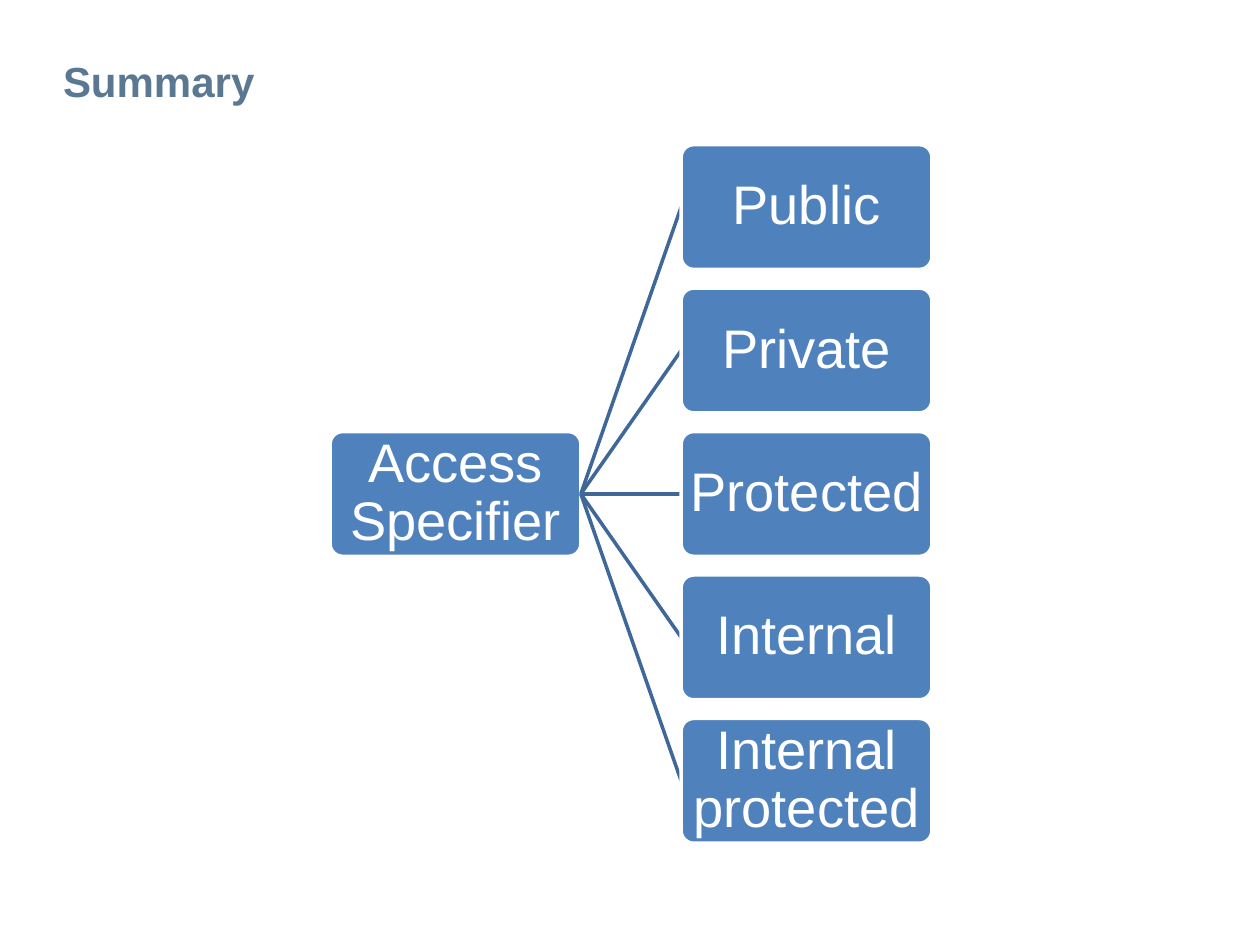
import dataclasses

import pptx
import pptx.dml.color
import pptx.enum.shapes
import pptx.enum.text
import pptx.oxml
import pptx.oxml.ns
import pptx.util

Inches = pptx.util.Inches
Anchor = pptx.enum.text.MSO_ANCHOR
Align = pptx.enum.text.PP_ALIGN

BOX_WIDTH, BOX_HEIGHT = 1.99, 0.99
COLUMN_STEP = BOX_WIDTH * 1.4
ROW_STEP = BOX_HEIGHT * 1.15
TREE_LEFT, TREE_MIDDLE = 2.62, 3.92
BLUE, LINK_BLUE, TITLE_BLUE, WHITE = "4F81BD", "3F6797", "5B7893", "FFFFFF"


@dataclasses.dataclass(frozen=True)
class Node:
    """A box of the tree; row 0 is the vertical middle."""
    label: str
    column: int
    row: int

    @property
    def left(self) -> float:
        return TREE_LEFT + self.column * COLUMN_STEP

    @property
    def middle(self) -> float:
        return TREE_MIDDLE + self.row * ROW_STEP


ROOT = Node("Access Specifier", 0, 0)
SPECIFIERS = ["Public", "Private", "Protected", "Internal", "Internal protected"]
LEAVES = [Node(label, 1, index - len(SPECIFIERS) // 2)
          for index, label in enumerate(SPECIFIERS)]


def colour(value: str) -> pptx.dml.color.RGBColor:
    return pptx.dml.color.RGBColor.from_string(value)


def apply(target, values: dict) -> None:
    for name, value in values.items():
        setattr(target, name, value)


def set_line(shape, value: str) -> None:
    shape.line.color.rgb = colour(value)
    shape.line.width = pptx.util.Pt(2)


def write(shape, text: str, frame: dict, paragraph: dict, font: dict, value: str) -> None:
    apply(shape.text_frame, frame)
    para = shape.text_frame.paragraphs[0]
    apply(para, paragraph)
    span = para.add_run()
    span.text = text
    apply(span.font, {"name": "Arial", **font})
    span.font.color.rgb = colour(value)


def add_title(page, text: str) -> None:
    title = page.shapes.title
    apply(title, {"left": Inches(0.5), "top": Inches(0.02),
                  "width": Inches(9), "height": Inches(0.87)})
    write(title, text,
          {"vertical_anchor": Anchor.BOTTOM, "margin_left": 0, "margin_right": 0,
           "margin_top": 0, "margin_bottom": Inches(0.05)},
          {"alignment": Align.LEFT},
          {"size": pptx.util.Pt(24), "bold": True}, TITLE_BLUE)


def add_box(page, node: Node):
    box = page.shapes.add_shape(
        pptx.enum.shapes.MSO_SHAPE.ROUNDED_RECTANGLE,
        Inches(node.left), Inches(node.middle - BOX_HEIGHT / 2),
        Inches(BOX_WIDTH), Inches(BOX_HEIGHT))
    box.adjustments[0] = 0.1
    box.shadow.inherit = False
    box.fill.solid()
    box.fill.fore_color.rgb = colour(BLUE)
    set_line(box, WHITE)
    # The rounded corners already inset the text, so the margins stay small.
    margins = {f"margin_{side}": Inches(0.01)
               for side in ("left", "right", "top", "bottom")}
    write(box, node.label,
          {"vertical_anchor": Anchor.MIDDLE, "word_wrap": True, **margins},
          {"alignment": Align.CENTER, "line_spacing": 0.9},
          {"size": pptx.util.Pt(31)}, WHITE)
    return box


def add_branch(page, root_box, leaf: Node) -> None:
    """Draw the link first, so that the white edge of the leaf covers its end."""
    link = page.shapes.add_connector(
        pptx.enum.shapes.MSO_CONNECTOR.STRAIGHT,
        Inches(ROOT.left + BOX_WIDTH), Inches(ROOT.middle),
        Inches(leaf.left), Inches(leaf.middle))
    set_line(link, LINK_BLUE)
    properties = link.element.find(pptx.oxml.ns.qn("p:spPr"))
    properties.append(pptx.oxml.parse_xml(
        f"<a:effectLst {pptx.oxml.ns.nsdecls('a')}/>"))
    link.begin_connect(root_box, 3)
    link.end_connect(add_box(page, leaf), 1)


def main() -> None:
    deck = pptx.Presentation()
    apply(deck, {"slide_width": Inches(10), "slide_height": Inches(7.5)})
    page = deck.slides.add_slide(deck.slide_layouts.get_by_name("Title Only"))
    add_title(page, "Summary")
    root_box = add_box(page, ROOT)
    for leaf in LEAVES:
        add_branch(page, root_box, leaf)
    deck.save("out.pptx")


if __name__ == "__main__":
    main()
